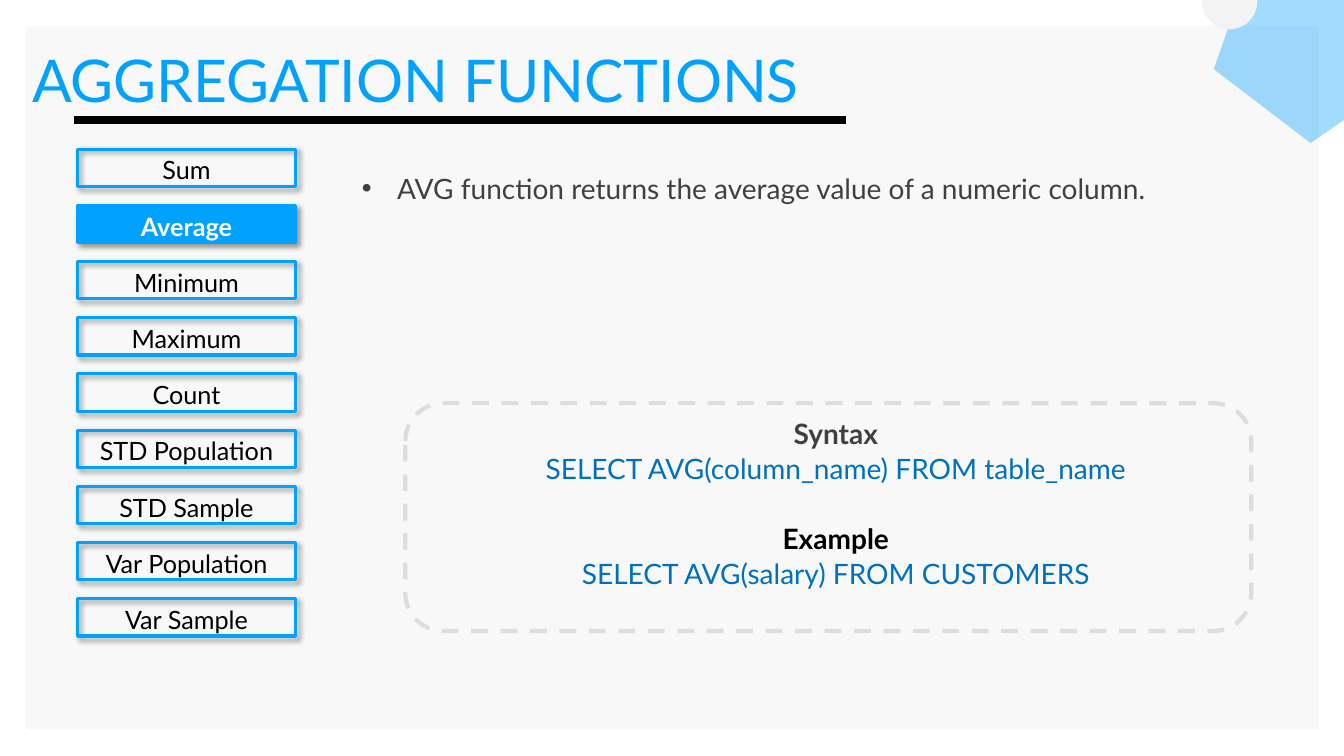
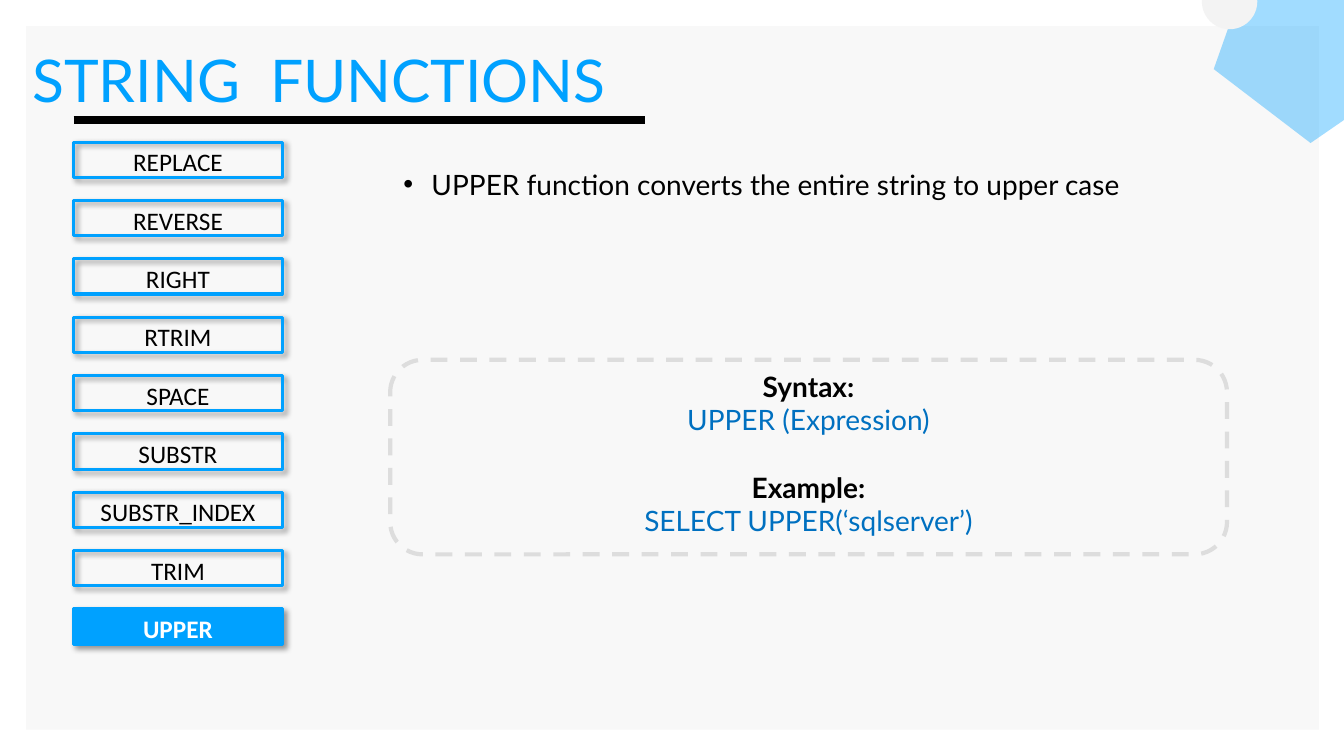
from dataclasses import dataclass

from lxml import etree
from pptx import Presentation
from pptx.dml.color import RGBColor
from pptx.enum.dml import MSO_LINE
from pptx.enum.shapes import MSO_CONNECTOR, MSO_SHAPE
from pptx.enum.text import MSO_ANCHOR, PP_ALIGN
from pptx.oxml.ns import qn
from pptx.util import Inches, Pt

RECT, ROUND = MSO_SHAPE.RECTANGLE, MSO_SHAPE.ROUNDED_RECTANGLE
OVAL, PENTA = MSO_SHAPE.OVAL, MSO_SHAPE.REGULAR_PENTAGON
LEFT, CENTER = PP_ALIGN.LEFT, PP_ALIGN.CENTER
TOP, MIDDLE = MSO_ANCHOR.TOP, MSO_ANCHOR.MIDDLE
DASH, STRAIGHT = MSO_LINE.DASH, MSO_CONNECTOR.STRAIGHT


@dataclass(frozen=True)
class Theme:
    blue: str = "00A1FF"
    code: str = "0070C0"
    black: str = "000000"
    gray: str = "404040"
    white: str = "FFFFFF"
    panel: str = "F8F8F8"
    disc: str = "F3F3F3"
    dash: str = "DDDDDD"
    font: str = "Lato"
    alt: str = "Calibri"
    title: int = 42
    body: int = 20
    menu: int = 18


T = Theme()


def rgb(tone):
    return RGBColor.from_string(tone)


def add(parent, tag, **attrs):
    node = etree.SubElement(parent, qn(tag))
    for key, value in attrs.items():
        node.set(key, str(value))
    return node


def shape(slide, kind, box, fill=None, line=None, width=1):
    item = slide.shapes.add_shape(kind, *map(Inches, box))
    item.shadow.inherit = False
    if fill:
        item.fill.solid()
        item.fill.fore_color.rgb = rgb(fill)
    else:
        item.fill.background()
    if line:
        item.line.color.rgb = rgb(line)
        item.line.width = Pt(width)
    else:
        item.line.fill.background()
    return item


def fade(item, percent):
    """Make a solid fill see-through, keeping the given opacity."""
    tone = item.fill._xPr.find(".//" + qn("a:srgbClr"))
    add(tone, "a:alpha", val=percent * 1000)


def shade(item):
    effects = item._element.spPr.find(qn("a:effectLst"))
    outer = add(effects, "a:outerShdw", blurRad=Pt(4), dist=Pt(3),
                dir=45 * 60000, algn="tl", rotWithShape=0)
    tone = add(outer, "a:srgbClr", val=T.black)
    add(tone, "a:alpha", val=40000)


def setup(frame, anchor=TOP, inset=(0, 0, 0, 0)):
    frame.word_wrap = True
    frame.vertical_anchor = anchor
    (frame.margin_left, frame.margin_top,
     frame.margin_right, frame.margin_bottom) = map(Inches, inset)


def style(para, text, size, tone, bold=False, align=LEFT, font=T.font):
    para.text = text
    para.alignment = align
    para.font.name = font
    para.font.size = Pt(size)
    para.font.bold = bold
    para.font.color.rgb = rgb(tone)


def textbox(slide, box, anchor=TOP):
    frame = slide.shapes.add_textbox(*map(Inches, box)).text_frame
    setup(frame, anchor)
    return frame.paragraphs[0]


def base(deck, title, end):
    """Start a slide with the shared decor, title and a rule up to end."""
    slide = deck.slides.add_slide(deck.slide_layouts[6])
    shape(slide, RECT, (0.26, 0.26, 12.82, 6.98), T.panel)
    gem = shape(slide, PENTA, (11.99, -0.62, 1.96, 1.86), T.blue)
    gem.rotation = 325.4
    fade(gem, 37)
    shape(slide, OVAL, (11.92, -0.26, 0.55, 0.55), T.disc)
    style(textbox(slide, (0.32, 0.43, 13, 0.55)), title, T.title, T.blue)
    rule = slide.shapes.add_connector(
        STRAIGHT, *map(Inches, (0.73, 1.19, end, 1.19)))
    rule.line.color.rgb = rgb(T.black)
    rule.line.width = Pt(6)
    add(rule._element.spPr, "a:effectLst")
    return slide


def menu(slide, names, active, area, size, font):
    """Spread buttons evenly; area is left, first top and last top."""
    left, first, last = area
    wide, high = size
    step = (last - first) / (len(names) - 1)
    for row, name in enumerate(names):
        top = first + row * step
        on = name == active
        shade(shape(slide, RECT, (left, top, wide, high),
                    T.blue if on else None, T.blue, 2.25))
        label = textbox(slide, (left, top + 0.02, wide, high), MIDDLE)
        style(label, name, T.menu, T.white if on else T.black, on,
              CENTER, font)


def bullet(slide, text, spot, hang, tone):
    para = textbox(slide, (*spot, 8.5, 0.4))
    props = para._p.get_or_add_pPr()
    props.set("marL", str(Inches(hang)))
    props.set("indent", str(-Inches(hang)))
    add(add(props, "a:buClr"), "a:srgbClr", val=tone)
    add(props, "a:buFont", typeface="Arial")
    add(props, "a:buChar", char="•")
    style(para, text, T.body, tone)


def card(slide, box, pairs, tone, inset, gap):
    """Draw a dashed card with pairs of heading and code line."""
    item = shape(slide, ROUND, box, None, T.dash, 3)
    item.line.dash_style = DASH
    frame = item.text_frame
    setup(frame, TOP, inset)
    for num, (head, code) in enumerate(pairs):
        para = frame.add_paragraph() if num else frame.paragraphs[0]
        style(para, head, T.body, T.black if num else tone, True, CENTER)
        if num:
            para.space_before = Pt(24 + 2 * gap)
        para = frame.add_paragraph()
        style(para, code, T.body, T.code, False, CENTER)
        para.space_before = Pt(gap)


def totals(deck):
    slide = base(deck, "AGGREGATION FUNCTIONS", 8.39)
    bullet(slide, "AVG function returns the average value of a numeric column.",
           (3.59, 1.7), 0.35, T.gray)
    card(slide, (4.02, 4, 8.39, 2.26),
         [("Syntax", "SELECT AVG(column_name) FROM table_name"),
          ("Example", "SELECT AVG(salary) FROM CUSTOMERS")],
         T.gray, (0.15, 0.02, 0, 0), 1)
    names = ["Sum", "Average", "Minimum", "Maximum", "Count",
             "STD Population", "STD Sample", "Var Population", "Var Sample"]
    menu(slide, names, "Average", (0.77, 1.48, 5.94), (2.16, 0.37), T.font)


def strings(deck):
    slide = base(deck, "STRING  FUNCTIONS", 6.4)
    bullet(slide, "UPPER function converts the entire string to upper case",
           (4, 1.66), 0.28, T.black)
    card(slide, (3.87, 3.57, 8.3, 1.93),
         [("Syntax:", "UPPER (Expression)"),
          ("Example:", "SELECT UPPER(‘sqlserver’)")],
         T.black, (0, 0, 0, 0), 0)
    names = ["REPLACE", "REVERSE", "RIGHT", "RTRIM", "SPACE", "SUBSTR",
             "SUBSTR_INDEX", "TRIM", "UPPER"]
    menu(slide, names, "UPPER", (0.73, 1.41, 6.04), (2.07, 0.35), T.alt)


def main():
    deck = Presentation()
    deck.slide_width, deck.slide_height = Inches(13.33), Inches(7.5)
    totals(deck)
    strings(deck)
    deck.save("out.pptx")


if __name__ == "__main__":
    main()
